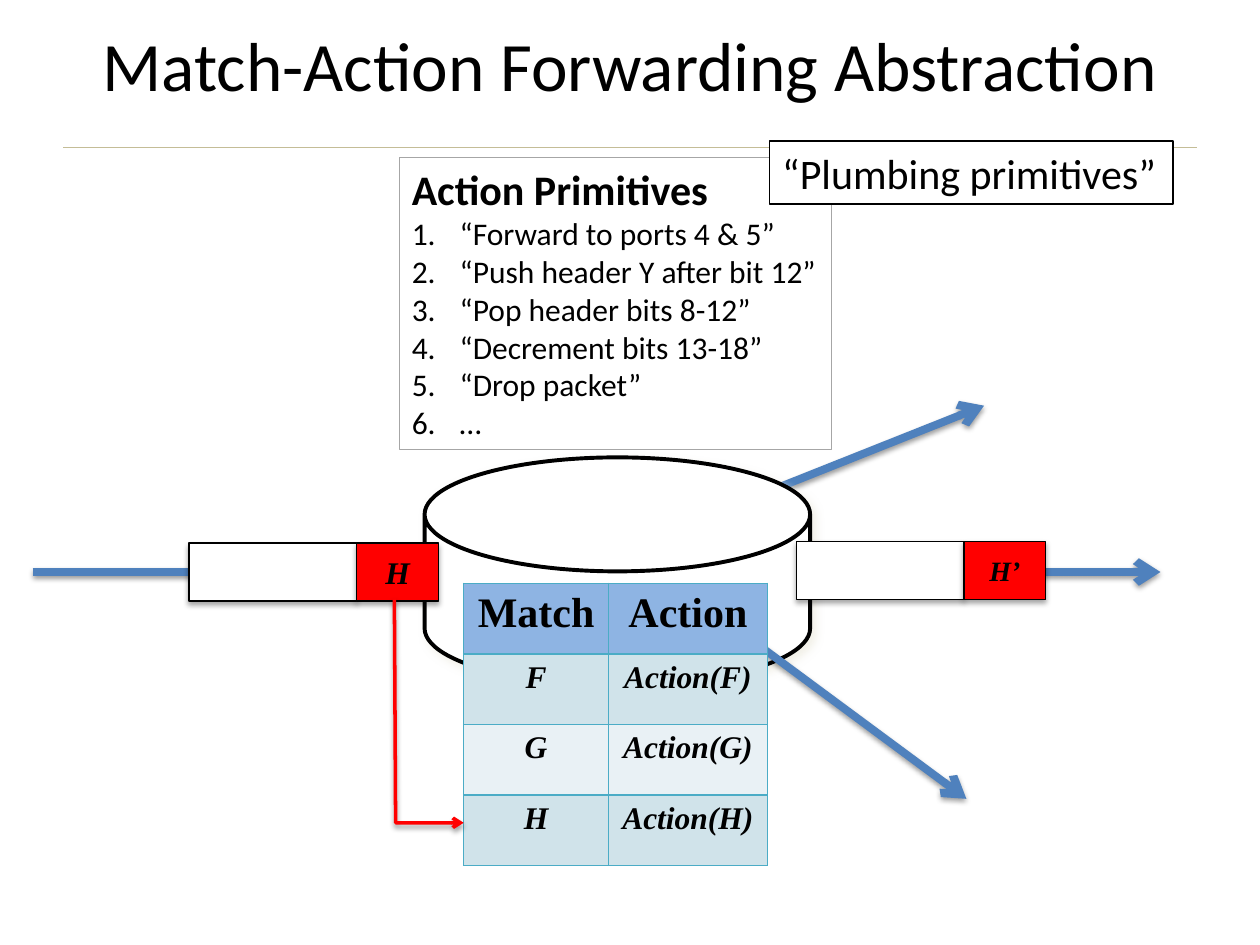
from lxml import etree
from pptx import Presentation
from pptx import util as u
from pptx.dml.color import RGBColor
from pptx.enum import shapes, text
from pptx.oxml import ns

BLACK = RGBColor(0, 0, 0)
WHITE = RGBColor(255, 255, 255)
RED = RGBColor(255, 0, 0)
BLUE = RGBColor(0x4F, 0x81, 0xBD)
TAN = RGBColor(0xC4, 0xBD, 0x97)
GRAY = RGBColor(0xA6, 0xA6, 0xA6)
CREAM = RGBColor(0xEE, 0xEC, 0xE1)
TEAL = RGBColor(0x4B, 0xAC, 0xC6)
HEADER = RGBColor(0x8E, 0xB4, 0xE3)
BANDS = (RGBColor(0xD0, 0xE3, 0xEA), RGBColor(0xE9, 0xF1, 0xF5))
SANS, SERIF = "Calibri", "Times New Roman"
ACTIONS = ("“Forward to ports 4 & 5”", "“Push header Y after bit 12”",
           "“Pop header bits 8-12”", "“Decrement bits 13-18”",
           "“Drop packet”", "…")
# Shadows: colour, opacity %, blur, distance (points), direction (degrees)
LINE_SHADOW = (BLACK, 38, 3.1, 1.6, 90)
BOX_SHADOW = (BLACK, 35, 3.1, 1.8, 90)
CAN_SHADOW = (CREAM, 75, 5, 3, 45)


def add_node(parent, tag, **attributes):
    """Append a DrawingML element and return it."""
    values = {key: str(value) for key, value in attributes.items()}
    return etree.SubElement(parent, ns.qn("a:" + tag), values)


def add_color(parent, color, opacity=None):
    """Append a colour, with opacity in percent if given."""
    node = add_node(parent, "srgbClr", val=color)
    if opacity is not None:
        add_node(node, "alpha", val=opacity * 1000)


def set_shadow(item, shadow):
    """Replace the inherited shadow with the given one, or with none."""
    properties = item._element.spPr
    for old in properties.findall(ns.qn("a:effectLst")):
        properties.remove(old)
    effects = add_node(properties, "effectLst")
    if shadow:
        color, opacity, blur, distance, angle = shadow
        outer = add_node(effects, "outerShdw", blurRad=u.Pt(blur),
                         dist=u.Pt(distance), dir=angle * 60000,
                         algn="ctr", rotWithShape=0)
        add_color(outer, color, opacity)


def style_line(item, color, width, arrow=False):
    """Set the line colour and width, and an arrowhead at its end."""
    item.line.color.rgb = color
    item.line.width = u.Pt(width)
    if arrow:
        add_node(item.line._get_or_add_ln(), "tailEnd", type="arrow")


def format_spans(para, size, font, bold=False, italic=False):
    """Format every run of a paragraph."""
    for span in para.runs:
        span.font.size = u.Pt(size)
        span.font.name = font
        span.font.bold = bold
        span.font.italic = italic
        span.font.color.rgb = BLACK


def add_line(page, start, end, color, width, arrow=False, shadow=None):
    """Draw a straight line between two points."""
    line = page.shapes.add_connector(
        shapes.MSO_CONNECTOR.STRAIGHT, *map(u.Inches, start + end))
    style_line(line, color, width, arrow)
    set_shadow(line, shadow)


def add_box(parent, kind, place, fill, line_width, line=BLACK, shadow=None):
    """Draw a preset shape, unfilled when fill is None."""
    box = parent.shapes.add_shape(kind, *map(u.Inches, place))
    if fill is None:
        box.fill.background()
    else:
        box.fill.solid()
        box.fill.fore_color.rgb = fill
    style_line(box, line, line_width)
    set_shadow(box, shadow)
    return box


def add_packet(page, left, top, label, size):
    """Draw a packet: a white payload and a red labelled header."""
    rectangle = shapes.MSO_SHAPE.RECTANGLE
    packet = page.shapes.add_group_shape()
    add_box(packet, rectangle, (left, top, 1.33, 0.46), WHITE, 0.75,
            shadow=BOX_SHADOW)
    head = add_box(packet, rectangle, (left + 1.33, top, 0.65, 0.46), RED,
                   0.75, shadow=BOX_SHADOW)
    frame = head.text_frame
    frame.text = label
    frame.vertical_anchor = text.MSO_ANCHOR.MIDDLE
    frame.paragraphs[0].alignment = text.PP_ALIGN.CENTER
    format_spans(frame.paragraphs[0], size, SERIF, bold=True, italic=True)


def add_lookup(page):
    """Draw the red path from the packet header to its table row."""
    points = [(u.Inches(x), u.Inches(y))
              for x, y in ((3.13, 4.75), (3.14, 6.53), (3.68, 6.53))]
    builder = page.shapes.build_freeform(*points[0])
    builder.add_line_segments(points[1:], close=False)
    lookup = builder.convert_to_shape()
    lookup.fill.background()
    style_line(lookup, RED, 2, arrow=True)
    set_shadow(lookup, LINE_SHADOW)


def style_cell(cell, fill, size, italic):
    """Fill, border and centre one table cell."""
    cell.fill.solid()
    cell.fill.fore_color.rgb = fill
    properties = cell._tc.get_or_add_tcPr()
    for index, side in enumerate("LRTB"):
        border = add_node(properties, "ln" + side, w=u.Pt(1))
        add_color(add_node(border, "solidFill"), TEAL)
        properties.insert(index, border)
    para = cell.text_frame.paragraphs[0]
    para.alignment = text.PP_ALIGN.CENTER
    format_spans(para, size, SERIF, bold=True, italic=italic)


def add_match_table(page):
    """Draw the match-action table."""
    rows = [("Match", "Action")] + [(key, f"Action({key})") for key in "FGH"]
    place = map(u.Inches, (3.68, 4.63, 2.41, 2.23))
    table = page.shapes.add_table(len(rows), 2, *place).table
    for column, width in zip(table.columns, (1.15, 1.26)):
        column.width = u.Inches(width)
    for r, row in enumerate(rows):
        table.rows[r].height = u.Inches(0.56)
        fill = BANDS[(r - 1) % 2] if r else HEADER
        for c, label in enumerate(row):
            cell = table.cell(r, c)
            cell.text = label
            style_cell(cell, fill, 18 if r else 24, italic=r > 0)


def add_note(page, place, heading, fill, line, items=(), bold=False):
    """Draw a framed note with a heading and a numbered list."""
    note = add_box(page, shapes.MSO_SHAPE.RECTANGLE, place, fill, 0.75, line)
    frame = note.text_frame
    frame.text = "\n".join((heading,) + tuple(items))
    frame.word_wrap = False
    frame.auto_size = text.MSO_AUTO_SIZE.SHAPE_TO_FIT_TEXT
    frame.vertical_anchor = text.MSO_ANCHOR.TOP
    for index, para in enumerate(frame.paragraphs):
        para.alignment = text.PP_ALIGN.LEFT
        format_spans(para, 18 if index else 24, SANS, bold and index == 0)
        if index:
            properties = para._p.get_or_add_pPr()
            properties.set("marL", str(u.Inches(0.38)))
            properties.set("indent", str(-u.Inches(0.38)))
            add_node(properties, "buFont", typeface="+mj-lt")
            add_node(properties, "buAutoNum", type="arabicPeriod")


def add_title(page, title):
    """Write the centred slide title."""
    box = page.shapes.add_textbox(*map(u.Inches, (0.5, -0.12, 9, 1.25)))
    frame = box.text_frame
    frame.text = title
    frame.word_wrap = True
    frame.vertical_anchor = text.MSO_ANCHOR.MIDDLE
    frame.paragraphs[0].alignment = text.PP_ALIGN.CENTER
    format_spans(frame.paragraphs[0], 39.6, SANS)


def main():
    """Build and save the slide."""
    deck = Presentation()
    deck.slide_width, deck.slide_height = u.Inches(10), u.Inches(7.5)
    page = deck.slides.add_slide(deck.slide_layouts[6])

    add_line(page, (0.5, 1.17), (9.5, 1.17), TAN, 0.75)
    flow = (BLUE, 4.5, True, LINE_SHADOW)
    add_line(page, (6.1, 3.9), (7.81, 3.22), *flow)
    switch = add_box(page, shapes.MSO_SHAPE.CAN, (3.37, 3.63, 3.06, 1.81),
                     WHITE, 2.25, shadow=CAN_SHADOW)
    switch.adjustments[0] = 0.5
    add_line(page, (0.26, 4.54), (3.37, 4.54), *flow)
    add_line(page, (6.42, 4.54), (9.21, 4.54), *flow)
    add_line(page, (5.79, 4.95), (7.67, 6.34), *flow)
    add_match_table(page)
    add_packet(page, 1.5, 4.31, "H", 18)
    add_lookup(page)
    add_packet(page, 6.32, 4.3, "H’", 16)
    add_note(page, (3.17, 1.25, 3.43, 2.32), "Action Primitives", None, GRAY,
             ACTIONS, bold=True)
    add_title(page, "Match-Action Forwarding Abstraction")
    add_note(page, (6.11, 1.12, 3.2, 0.5), "“Plumbing primitives”", WHITE,
             BLACK)
    deck.save("out.pptx")


main()
